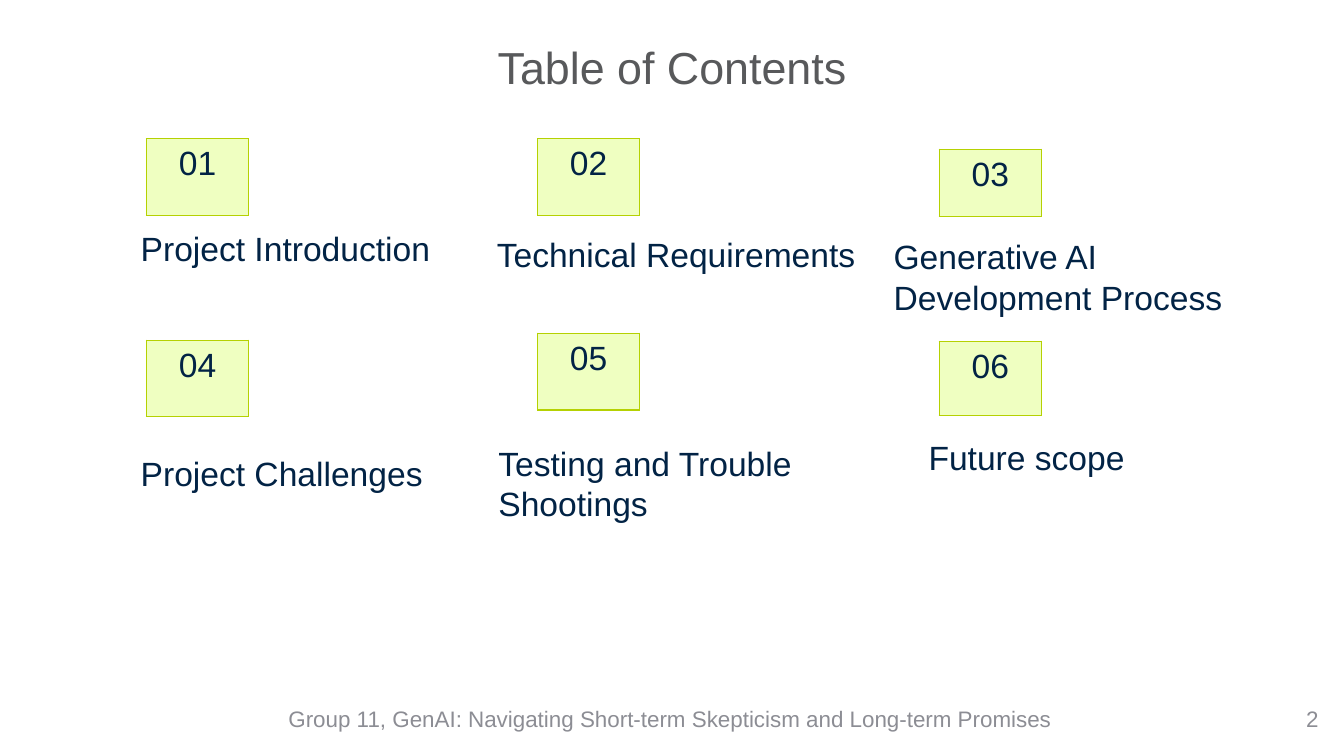
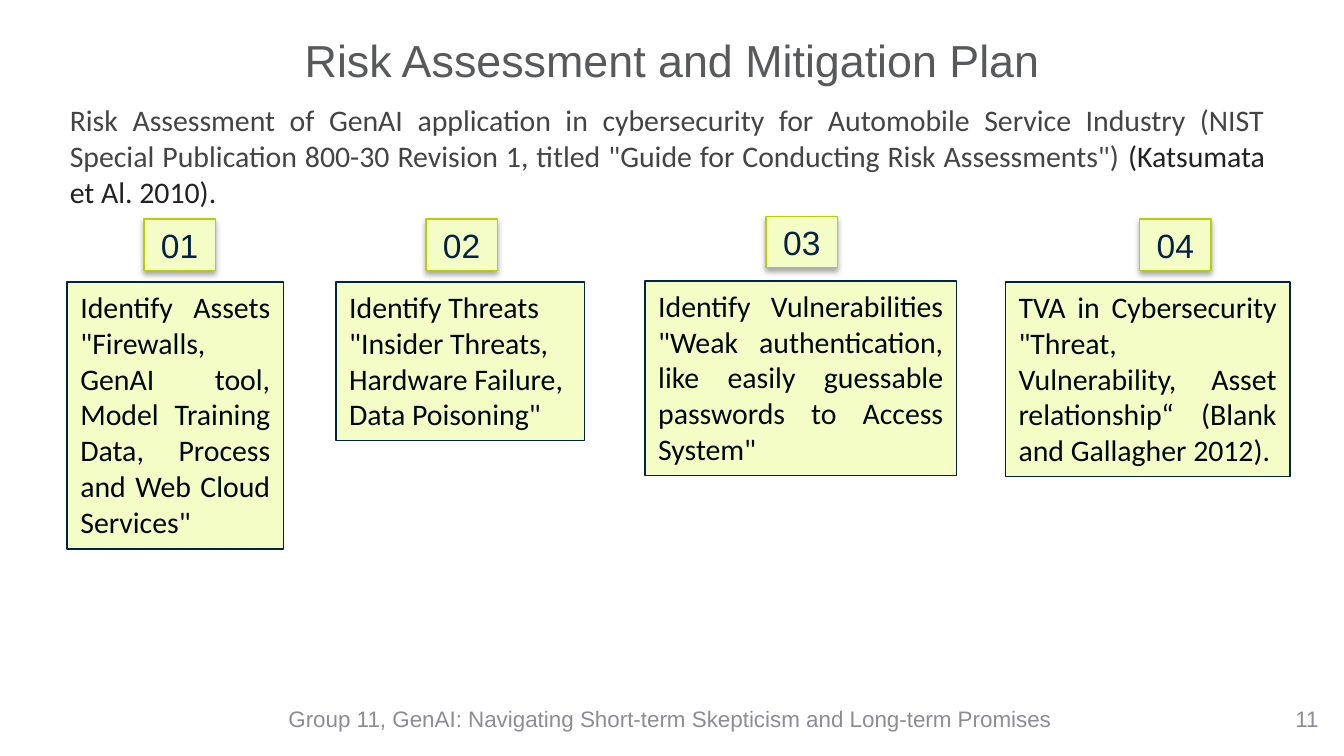
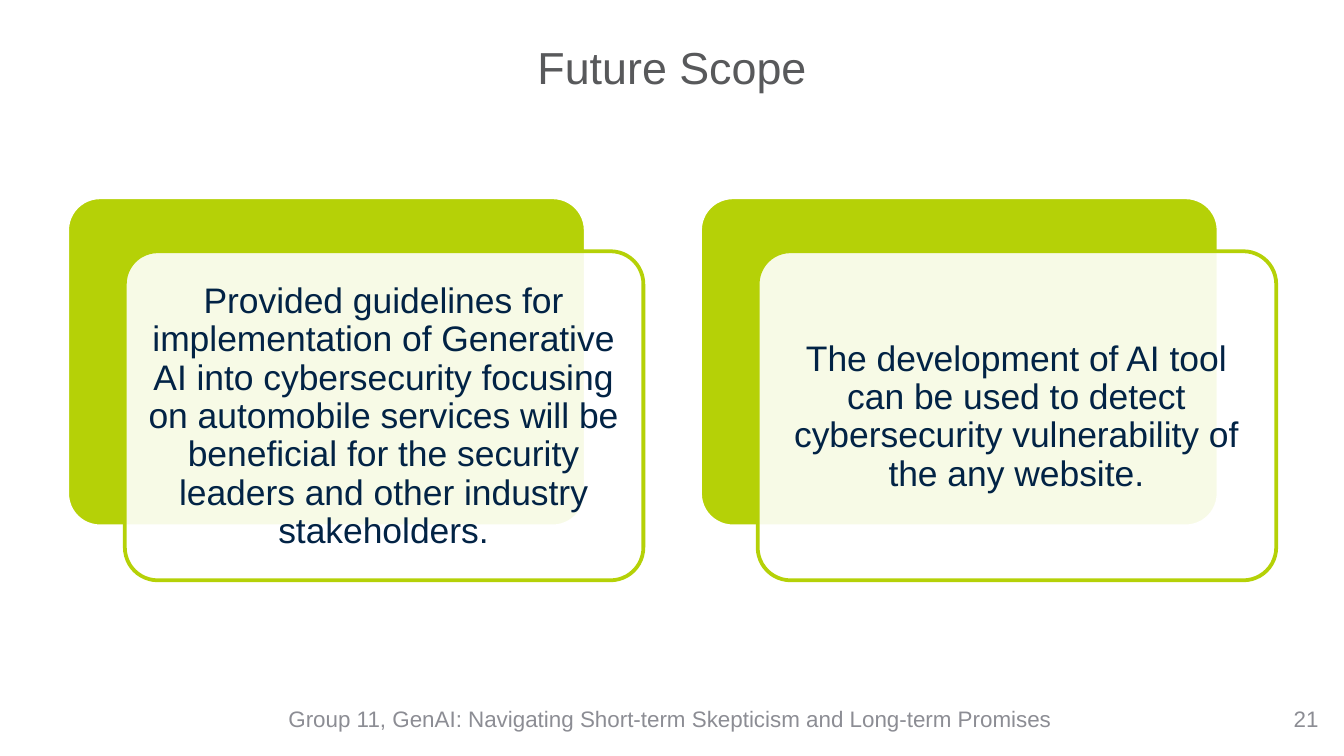
import pptx
import pptx.util
import pptx.dml.color
import pptx.enum.shapes
import pptx.enum.text
import pptx.oxml
import pptx.oxml.ns

Cm = pptx.util.Cm
Pt = pptx.util.Pt
RGB = pptx.dml.color.RGBColor
ALIGN = pptx.enum.text.PP_ALIGN
ANCHOR = pptx.enum.text.MSO_ANCHOR
SHAPE = pptx.enum.shapes.MSO_SHAPE

NAVY = RGB(0x02, 0x23, 0x45)
INK = RGB(0x00, 0x08, 0x0F)
TITLE_GRAY = RGB(0x58, 0x59, 0x5B)
FOOT_GRAY = RGB(0x8C, 0x8D, 0x94)
BODY_GRAY = RGB(0x44, 0x44, 0x44)
CITE_GRAY = RGB(0x22, 0x22, 0x22)
LIME = RGB(0xB5, 0xD1, 0x02)
CARD_LIME = RGB(0xB5, 0xD1, 0x07)
CELL_LIME = RGB(0xEF, 0xFF, 0xC1)
PALE_LIME = RGB(0xF5, 0xFD, 0xC6)
WHITE = RGB(0xFF, 0xFF, 0xFF)

TITLE = {"name": "Arial", "size": Pt(24), "color": TITLE_GRAY}
FOOT = {"name": "Arial", "size": Pt(12), "color": FOOT_GRAY}
LABEL = {"name": "Arial", "size": Pt(18), "color": NAVY, "bold": False}
CARD = {"name": "Arial", "size": Pt(19), "color": NAVY}
BODY = {"name": "Calibri", "size": Pt(16), "color": INK}
INTRO = {**BODY, "color": BODY_GRAY}
CITE = {**BODY, "color": CITE_GRAY}

CENTER = {"alignment": ALIGN.CENTER}
LEFT = {"alignment": ALIGN.LEFT}
JUSTIFY = {"alignment": ALIGN.JUSTIFY}
TIGHT = {"alignment": ALIGN.CENTER, "line_spacing": 0.9}
FOOT_PARA = {**TIGHT, "space_after": Pt(6)}
CARD_PARA = {**TIGHT, "space_after": Pt(7)}

FOOTER = "Group 11, GenAI: Navigating Short-term Skepticism and Long-term Promises"

CONTENTS = [
    ("01", (2.77, 2.62, 1.45), ["Project Introduction"], (2.41, 4.19, 12.7)),
    ("02", (10.16, 2.62, 1.45), ["Technical Requirements"], (9.14, 4.29, 12.7)),
    ("03", (17.75, 2.82, 1.27), ["Generative AI", "Development Process"], (16.64, 4.34, 8.7)),
    ("04", (2.77, 6.43, 1.45), ["Project Challenges"], (2.41, 8.43, 14.58)),
    ("05", (10.16, 6.3, 1.45), ["Testing and Trouble", "Shootings"], (9.17, 8.25, 14.58)),
    ("06", (17.75, 6.45, 1.4), ["Future scope"], (17.3, 8.13, 8.1)),
]

RISK_INTRO = [
    ("Risk Assessment of GenAI application in cybersecurity for Automobile Service Industry "
     "(NIST Special Publication 800-30 Revision 1, titled \"Guide for Conducting Risk Assessments\") ", INTRO),
    ("(Katsumata et Al. 2010).", CITE),
]
RISK_STEPS = [
    ("01", (2.72, 4.14), (1.27, 5.33, 4.09, 5.05), JUSTIFY,
     "Identify Assets \"Firewalls, GenAI tool, Model Training Data, Process and Web Cloud Services\""),
    ("02", (8.05, 4.14), (6.35, 5.33, 4.7, 3), LEFT,
     "Identify Threats \"Insider Threats, Hardware Failure, Data Poisoning\""),
    ("03", (14.48, 4.09), (12.19, 5.31, 5.89, 3.68), JUSTIFY,
     "Identify Vulnerabilities \"Weak authentication, like easily guessable passwords to Access System\""),
    ("04", (21.54, 4.14), (19, 5.33, 5.38, 3.68), JUSTIFY,
     "TVA in Cybersecurity \"Threat, Vulnerability, Asset relationship“ (Blank and Gallagher 2012)."),
]

SCOPE = [
    "Provided guidelines for implementation of Generative AI into cybersecurity focusing on automobile "
    "services will be beneficial for the security leaders and other industry stakeholders.",
    "The development of AI tool can be used to detect cybersecurity vulnerability of the any website.",
]


def xml(text):
    return pptx.oxml.parse_xml(text.replace(">", f" {pptx.oxml.ns.nsdecls('a')}>", 1))


def write(tf, paras, font, para, anchor=ANCHOR.TOP):
    tf.word_wrap = True
    tf.vertical_anchor = anchor
    for i, runs in enumerate(paras):
        p = tf.add_paragraph() if i else tf.paragraphs[0]
        for key, value in para.items():
            setattr(p, key, value)
        for text, fmt in [(runs, font)] if isinstance(runs, str) else runs:
            r = p.add_run()
            r.text = text
            for key, value in fmt.items():
                if key == "color":
                    r.font.color.rgb = value
                else:
                    setattr(r.font, key, value)


def add_text(s, box, paras, font, para, anchor=ANCHOR.TOP):
    sp = s.shapes.add_textbox(*map(Cm, box))
    write(sp.text_frame, paras, font, para, anchor)
    return sp


def add_box(s, kind, box, fill, line, width):
    sp = s.shapes.add_shape(kind, *map(Cm, box))
    sp.shadow.inherit = False
    sp.fill.solid()
    sp.fill.fore_color.rgb = fill
    sp.line.color.rgb = line
    sp.line.width = Pt(width)
    return sp


def add_slide(prs, title, number, title_top=0.58, title_height=1.5):
    s = prs.slides.add_slide(prs.slide_layouts[6])
    add_text(s, (1.27, title_top, 22.86, title_height), [title], TITLE, TIGHT, ANCHOR.MIDDLE)
    add_text(s, (4.62, 13.23, 16.1, 0.76), [FOOTER], FOOT, FOOT_PARA, ANCHOR.MIDDLE)
    add_text(s, (19.25, 13.23, 5.92, 0.76), [str(number)], FOOT,
             {**FOOT_PARA, "alignment": ALIGN.RIGHT}, ANCHOR.MIDDLE)
    return s


def add_number_cell(s, number, left, top, height):
    table = s.shapes.add_table(1, 1, Cm(left), Cm(top), Cm(1.93), Cm(height)).table
    table.first_row = table.horz_banding = False
    cell = table.cell(0, 0)
    write(cell.text_frame, [number], LABEL, CENTER)
    tcPr = cell._tc.get_or_add_tcPr()
    for side in "LRTB":
        tcPr.append(xml(f'<a:ln{side} w="{Pt(0.75)}"><a:solidFill><a:srgbClr val="{LIME}"/>'
                        f'</a:solidFill></a:ln{side}>'))
    cell.fill.solid()
    cell.fill.fore_color.rgb = CELL_LIME


def add_contents(prs):
    s = add_slide(prs, "Table of Contents", 2)
    for number, cell, lines, (left, top, width) in CONTENTS:
        add_number_cell(s, number, *cell)
        add_text(s, (left, top, width, 0.24 + 0.78 * len(lines)), lines, LABEL, LEFT)


def add_risks(prs):
    s = add_slide(prs, "Risk Assessment and Mitigation Plan", 11, 0.61, 1.17)
    add_text(s, (1.07, 1.8, 23.09, 2.31), [RISK_INTRO], INTRO, JUSTIFY)
    for number, chip, box, para, text in RISK_STEPS:
        sp = add_box(s, SHAPE.RECTANGLE, (*chip, 1.35, 0.97), PALE_LIME, LIME, 0.75)
        write(sp.text_frame, [number], LABEL, CENTER, ANCHOR.MIDDLE)
        effects = sp._element.spPr.find(pptx.oxml.ns.qn("a:effectLst"))
        effects.append(xml(f'<a:outerShdw blurRad="{Pt(3.1)}" dist="{Pt(1.8)}" dir="5400000" rotWithShape="0">'
                           '<a:srgbClr val="000000"><a:alpha val="35000"/></a:srgbClr></a:outerShdw>'))
        sp = add_box(s, SHAPE.RECTANGLE, box, PALE_LIME, NAVY, 0.75)
        write(sp.text_frame, [text], BODY, para)


def add_scope(prs):
    s = add_slide(prs, "Future Scope", 21)
    width, height, top = 9.8, 6.22, 3.73
    for i, text in enumerate(SCOPE):
        left = 1.27 + i * 11.96
        back = add_box(s, SHAPE.ROUNDED_RECTANGLE, (left, top, width, height), CARD_LIME, WHITE, 2)
        front = add_box(s, SHAPE.ROUNDED_RECTANGLE, (left + 1.09, top + 1.02, width, height),
                        WHITE, CARD_LIME, 2)
        for sp in (back, front):
            sp.adjustments[0] = 0.1
        color = front._element.spPr.find(pptx.oxml.ns.qn("a:solidFill"))[0]
        color.append(xml('<a:alpha val="90000"></a:alpha>'))
        sp = add_text(s, (left + 1.27, top + 1.22, 9.42, 5.87), [text], CARD, CARD_PARA, ANCHOR.MIDDLE)
        for side in ("left", "right", "top", "bottom"):
            setattr(sp.text_frame, f"margin_{side}", Cm(0.2))


def main():
    prs = pptx.Presentation()
    prs.slide_width, prs.slide_height = Cm(25.4), Cm(14.29)
    add_contents(prs)
    add_risks(prs)
    add_scope(prs)
    prs.save("out.pptx")


if __name__ == "__main__":
    main()
